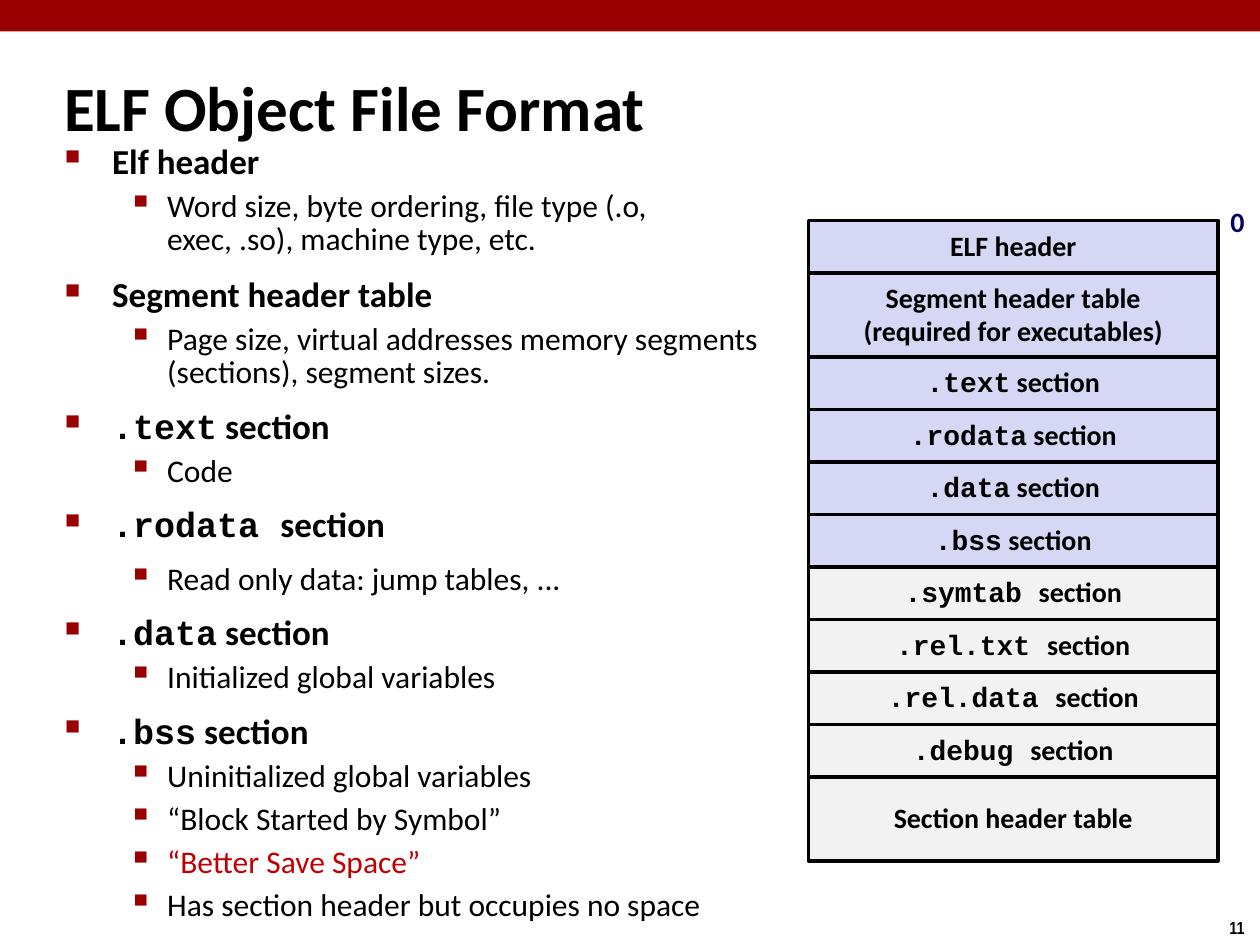
from lxml import etree
from pptx import Presentation
from pptx.dml.color import RGBColor
from pptx.enum.shapes import MSO_SHAPE
from pptx.enum.text import MSO_ANCHOR, PP_ALIGN
from pptx.oxml.ns import qn
from pptx.util import Pt

RECT = MSO_SHAPE.RECTANGLE
MIDDLE = MSO_ANCHOR.MIDDLE
CENTER = PP_ALIGN.CENTER
SANS, MONO, NARROW = "Calibri", "Courier New", "Arial Narrow"

COLORS = {
    "bar": "990000", "ink": "000000", "hot": "C00000", "zero": "000066",
    "load": "D6D6F5", "link": "F2F2F2",
}

# Content: each heading is (code part, plain part, points below it)
TITLE = "ELF Object File Format"
POINTS = [
    ("", "Elf header",
     ["Word size, byte ordering, file type (.o,\nexec, .so), machine type, etc."]),
    ("", "Segment header table",
     ["Page size, virtual addresses memory segments (sections), segment sizes."]),
    (".text", " section", ["Code"]),
    (".rodata ", "section", ["Read only data: jump tables, ..."]),
    (".data", " section", ["Initialized global variables"]),
    (".bss", " section",
     ["Uninitialized global variables", "“Block Started by Symbol”",
      "“Better Save Space”", "Has section header but occupies no space"]),
]
HOT = "“Better Save Space”"
LOOSE = "Read only data: jump tables, ..."

# File layout from top to bottom: (fill, height, lines of (code, plain))
ROW, TALL = 30, 48
PARTS = [
    ("load", ROW, [("", "ELF header")]),
    ("load", TALL, [("", "Segment header table"), ("", "(required for executables)")]),
    ("load", ROW, [(".text", " section")]),
    ("load", ROW, [(".rodata", " section")]),
    ("load", ROW, [(".data", " section")]),
    ("load", ROW, [(".bss", " section")]),
    ("link", ROW, [(".symtab ", "section")]),
    ("link", ROW, [(".rel.txt ", "section")]),
    ("link", ROW, [(".rel.data ", "section")]),
    ("link", ROW, [(".debug ", "section")]),
    ("link", TALL, [("", "Section header table")]),
]
STACK = {"left": 462, "top": 126, "width": 234}

# Bullet formats by level: indents, sign and size in percent
BULLETS = [
    {"marL": 27, "indent": -27, "char": "■", "size": 60},
    {"marL": 58.5, "indent": -22.5, "char": "▪", "size": 110},
]


def color(name):
    return RGBColor.from_string(COLORS[name])


def style(item, **values):
    for key, value in values.items():
        setattr(item, key, value)


def write(para, text, size, bold=True, font=SANS, ink="ink"):
    for i, line in enumerate(text.split("\n")):
        if i:
            para.add_line_break()
        run = para.add_run()
        run.text = line
        style(run.font, name=font, size=Pt(size), bold=bold)
        run.font.color.rgb = color(ink)


def write_pair(para, code, plain, size):
    if code:
        write(para, code, size, font=MONO)
    write(para, plain, size)


def next_para(frame, first):
    return frame.paragraphs[0] if first else frame.add_paragraph()


def add_text(slide, spot, wrap=True):
    frame = slide.shapes.add_textbox(*map(Pt, spot)).text_frame
    frame.word_wrap = wrap
    return frame


def add_box(slide, spot, fill):
    box = slide.shapes.add_shape(RECT, *map(Pt, spot))
    box.shadow.inherit = False
    box.fill.solid()
    box.fill.fore_color.rgb = color(fill)
    return box


def add_bullet(para, level):
    form = BULLETS[level]
    props = para._p.get_or_add_pPr()
    for key in ("marL", "indent"):
        props.set(key, str(int(Pt(form[key]))))
    tint = etree.SubElement(props, qn("a:buClr"))
    etree.SubElement(tint, qn("a:srgbClr")).set("val", COLORS["bar"])
    etree.SubElement(props, qn("a:buSzPct")).set("val", str(form["size"] * 1000))
    etree.SubElement(props, qn("a:buChar")).set("char", form["char"])
    para.level = level


def add_points(slide):
    frame = add_text(slide, (30, 80, 421, 424))
    for i, (code, plain, subs) in enumerate(POINTS):
        para = next_para(frame, i == 0)
        add_bullet(para, 0)
        style(para, line_spacing=0.8 if code else 0.83,
              space_before=Pt(12.5 if i else 0))
        write_pair(para, code, plain, 20)
        for sub in subs:
            para = frame.add_paragraph()
            add_bullet(para, 1)
            loose = sub == LOOSE
            style(para, line_spacing=0.8 if loose else 0.88,
                  space_before=Pt(12.5 if loose else 5.6))
            write(para, sub, 18, bold=False, ink="hot" if sub == HOT else "ink")


def add_stack(slide):
    top = STACK["top"]
    for fill, height, lines in PARTS:
        box = add_box(slide, (STACK["left"], top, STACK["width"], height), fill)
        box.line.color.rgb = color("ink")
        box.line.width = Pt(2)
        frame = box.text_frame
        style(frame, vertical_anchor=MIDDLE, word_wrap=False)
        for i, (code, plain) in enumerate(lines):
            para = next_para(frame, i == 0)
            style(para, alignment=CENTER, line_spacing=0.94 if code else 0.98)
            write_pair(para, code, plain, 16)
        top += height


def main():
    deck = Presentation()
    style(deck, slide_width=Pt(720), slide_height=Pt(540))
    slide = deck.slides.add_slide(deck.slide_layouts[6])

    # Top bar and page number
    add_box(slide, (0, 0, 720, 18), "bar").line.fill.background()
    page = add_text(slide, (695.5, 520.5, 24.5, 19.5), wrap=False)
    write(page.paragraphs[0], "11", 10, font=NARROW)

    # Title
    head = add_text(slide, (29.5, 30, 686, 62))
    head.vertical_anchor = MIDDLE
    write(head.paragraphs[0], TITLE, 36)

    # Bullet list, file layout and its start offset
    add_points(slide)
    add_stack(slide)
    zero = add_text(slide, (696, 114, 22.5, 26.5), wrap=False).paragraphs[0]
    zero.line_spacing = 0.98
    write(zero, "0", 16, ink="zero")

    deck.save("out.pptx")


if __name__ == "__main__":
    main()
